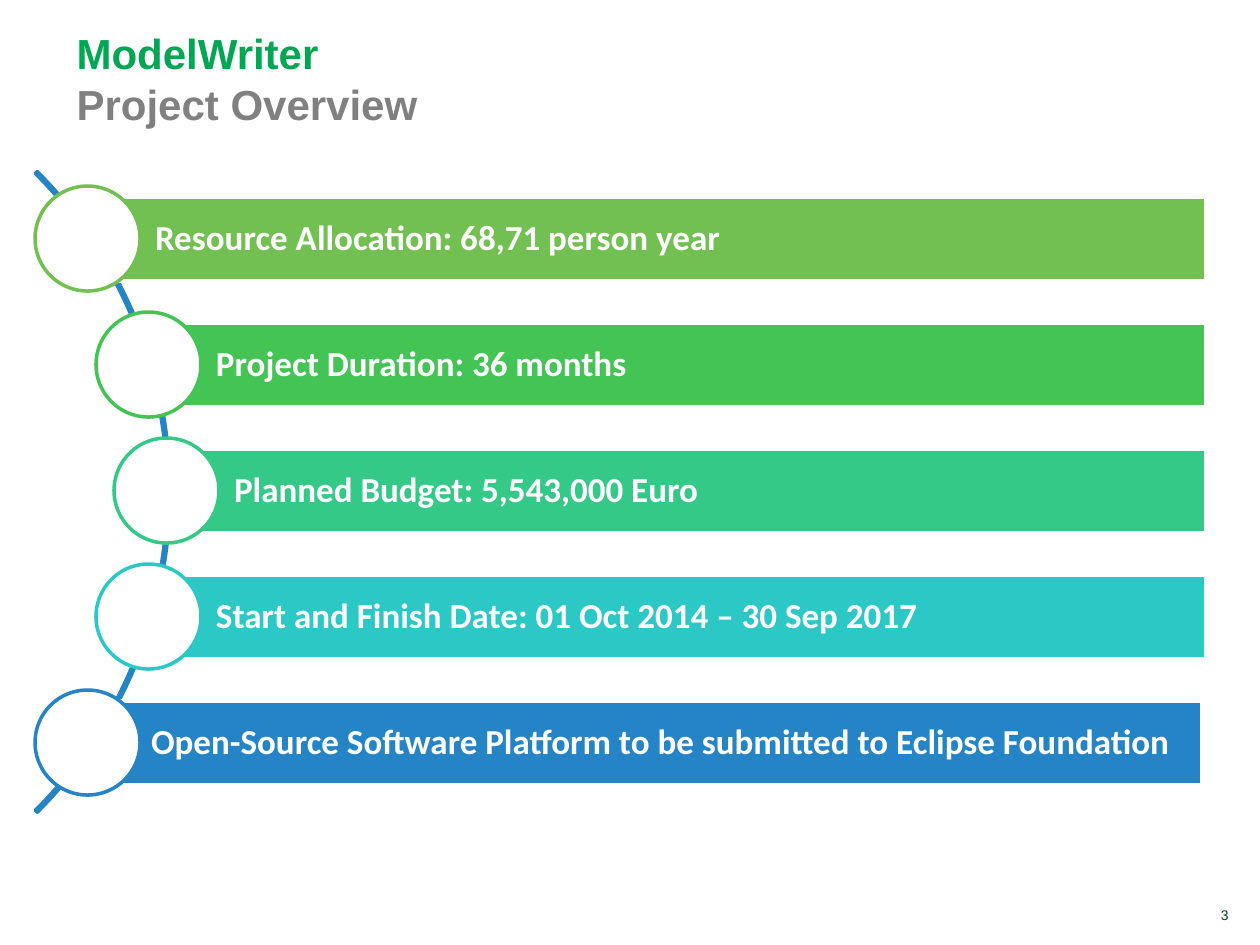
"""Builds the ModelWriter project overview slide with a curved list of five facts."""
from copy import deepcopy

from pptx import Presentation
from pptx import util as u
from pptx.dml.color import RGBColor
from pptx.enum import shapes, text
from pptx.oxml.ns import qn

PX = u.Inches(1) / 126
COLOURS = {
    "white": "FFFFFF", "brand": "00A651", "grey": "808080", "number": "004621",
    "lime": "73C052", "green": "44C454", "mint": "35C987", "teal": "2CC8C5", "blue": "2484C6",
}
FACTS = [
    ("Resource Allocation: 68,71 person year", "lime", 35, 0),
    ("Project Duration: 36 months", "green", 96, 0),
    ("Planned Budget: 5,543,000 Euro", "mint", 114, 0),
    ("Start and Finish Date: 01 Oct 2014 – 30 Sep 2017", "teal", 96, 0),
    ("Open-Source Software Platform to be submitted to Eclipse Foundation", "blue", 35, -4),
]
PITCH, CIRCLE, BAR_HEIGHT, BAR_RIGHT = 126, 105, 84, 1206


def px(*lengths):
    return [u.Emu(round(length * PX)) for length in lengths]


def colour(name):
    return RGBColor.from_string(COLOURS[name])


def add_text(para, words, size=20, font="Arial", ink="white", bold=False,
             align=text.PP_ALIGN.LEFT, spacing=None):
    para.alignment = align
    if spacing:
        para.line_spacing = spacing
    span = para.add_run()
    span.text = words
    span.font.size, span.font.name, span.font.bold = u.Pt(size), font, bold
    span.font.color.rgb = colour(ink)
    return span


class Slide:
    def __init__(self, deck):
        self.page = deck.slides.add_slide(deck.slide_layouts[5])

    def title(self, place, lines):
        box = self.page.shapes.title
        box.left, box.top, box.width, box.height = px(*place)
        frame = box.text_frame
        frame.auto_size = text.MSO_AUTO_SIZE.NONE
        frame.vertical_anchor = text.MSO_ANCHOR.BOTTOM
        para = frame.paragraphs[0]
        for index, (words, ink) in enumerate(lines):
            if index:
                para.add_line_break()
            span = add_text(para, words, size=24, ink=ink, bold=True)
        for line_break in para._p.findall(qn("a:br")):
            line_break.append(deepcopy(span._r.find(qn("a:rPr"))))

    def shape(self, kind, place, line, fill=None):
        shape = self.page.shapes.add_shape(kind, *px(*place))
        shape.shadow.inherit = False
        shape.line.color.rgb, shape.line.width = colour(line), u.Pt(2)
        if fill:
            shape.fill.solid()
            shape.fill.fore_color.rgb = colour(fill)
        else:
            shape.fill.background()
        return shape

    def arc(self, place, line):
        arc = self.shape(shapes.MSO_SHAPE.BLOCK_ARC, place, line)
        for index, value in enumerate((189, 27, 0.003)):
            arc.adjustments[index] = value

    def bar(self, place, fill, words):
        frame = self.shape(shapes.MSO_SHAPE.RECTANGLE, place, "white", fill).text_frame
        frame.word_wrap = True
        frame.vertical_anchor = text.MSO_ANCHOR.MIDDLE
        (frame.margin_left, frame.margin_top,
         frame.margin_right, frame.margin_bottom) = px(67, 8, 8, 8)
        add_text(frame.paragraphs[0], words, font="Calibri", bold=True, spacing=0.9)

    def circle(self, place, line):
        self.shape(shapes.MSO_SHAPE.OVAL, place, line, "white")

    def number(self, place, words):
        frame = self.page.shapes.add_textbox(*px(*place)).text_frame
        frame.word_wrap = True
        frame.vertical_anchor = text.MSO_ANCHOR.BOTTOM
        add_text(frame.paragraphs[0], words, size=8, ink="number", align=text.PP_ALIGN.RIGHT)


def main():
    deck = Presentation()
    deck.slide_width, deck.slide_height = px(1260, 945)
    slide = Slide(deck)
    slide.title((64, 20, 858, 115), [("ModelWriter", "brand"), ("Project Overview", "grey")])
    slide.arc((-736, 39, 906, 906), "blue")
    for row, (words, ink, left, shift) in enumerate(FACTS):
        top = 186 + row * PITCH
        middle = left + CIRCLE // 2 + 1
        slide.bar((middle + shift, top + 11, BAR_RIGHT - middle, BAR_HEIGHT), ink, words)
        slide.circle((left, top, CIRCLE, CIRCLE), ink)
    slide.number((1076, 900, 165, 29), "3")
    deck.save("out.pptx")


if __name__ == "__main__":
    main()
